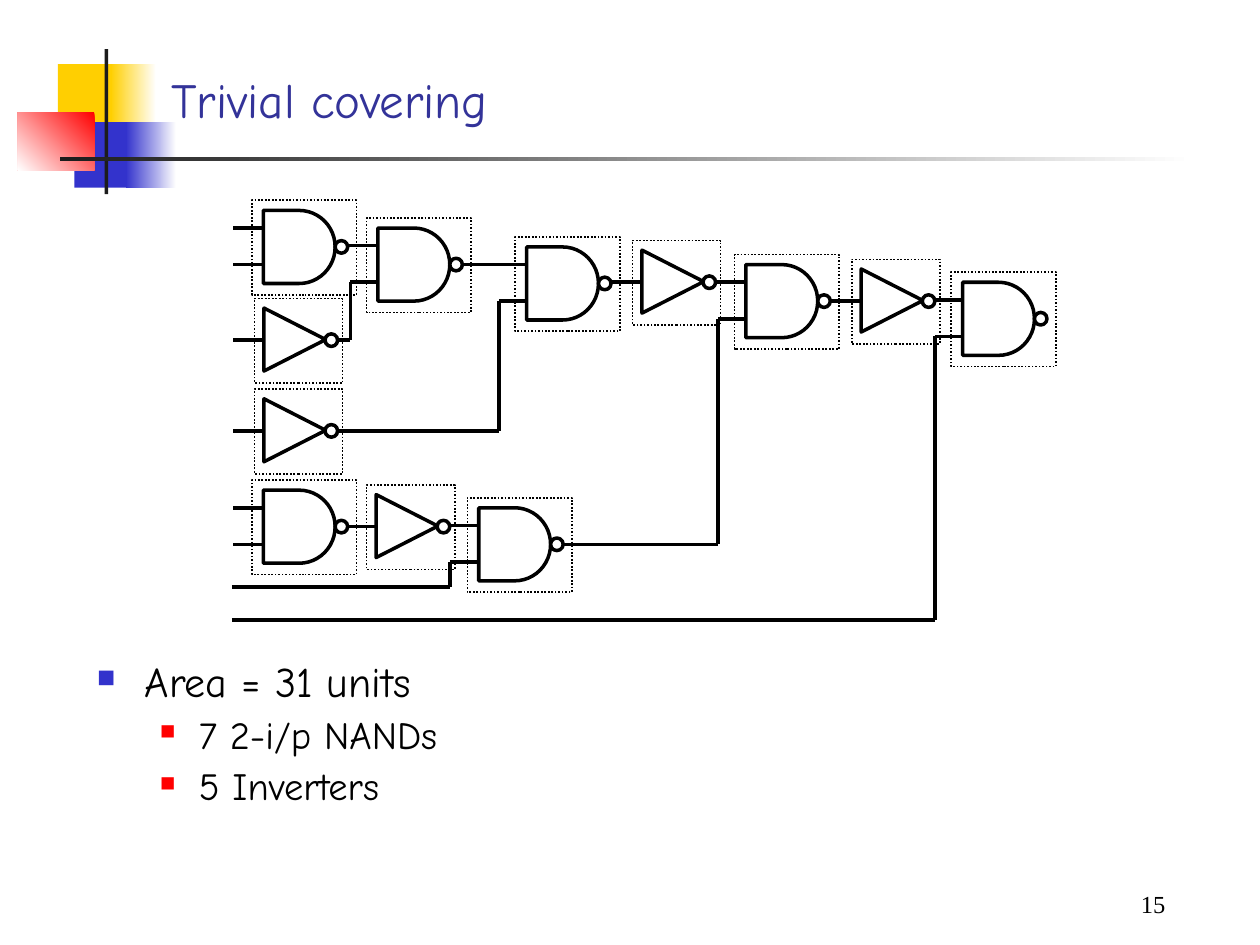
"""Build the "Trivial covering" slide: a NAND and inverter netlist with its cover."""
from lxml import etree
from pptx import Presentation
from pptx.dml.color import RGBColor
from pptx.enum.dml import MSO_LINE
from pptx.enum.shapes import MSO_CONNECTOR, MSO_SHAPE
from pptx.enum.text import MSO_ANCHOR, PP_ALIGN
from pptx.oxml.ns import qn
from pptx.util import Inches, Pt

RECT = MSO_SHAPE.RECTANGLE
DELAY = MSO_SHAPE.FLOWCHART_DELAY
MERGE = MSO_SHAPE.FLOWCHART_MERGE
BUBBLE = MSO_SHAPE.FLOWCHART_CONNECTOR
STRAIGHT = MSO_CONNECTOR.STRAIGHT
DOTTED = MSO_LINE.ROUND_DOT
TOP, MIDDLE, BOTTOM = MSO_ANCHOR.TOP, MSO_ANCHOR.MIDDLE, MSO_ANCHOR.BOTTOM
LEFT, RIGHT = PP_ALIGN.LEFT, PP_ALIGN.RIGHT

BLACK, WHITE = "000000", "FFFFFF"
YELLOW, BLUE, RED, DARK = "FFCF01", "3333CC", "FF0000", "1C1C1C"
BODY_FONT, NUMBER_FONT = "Comic Neue", "Times New Roman"

DECORATION = [
    ((0.46, 0.51, 0.48, 0.52), [YELLOW], 0),
    ((0.88, 0.51, 0.36, 0.52), [WHITE, YELLOW], 180),
    ((0.59, 0.97, 0.46, 0.52), [BLUE], 0),
    ((1, 0.97, 0.4, 0.52), [WHITE, BLUE], 180),
    ((0.14, 0.89, 0.61, 0.46), [RED, WHITE], 225),
    ((0.83, 0.39, 0.03, 1.15), [DARK], 0),
    ((0.48, 1.25, 9, 0.03), [WHITE, DARK], 180),
]

TITLE = "Trivial covering"
POINTS = [
    # text, size, left margin, hanging indent, bullet colour, bullet percent, space before
    ("Area = 31 units", 24, 0.38, 0.38, BLUE, 60, 0),
    ("7 2-i/p NANDs", 22, 0.81, 0.31, RED, 55, 5.5),
    ("5 Inverters", 22, 0.81, 0.31, RED, 55, 5.5),
]
SLIDE_NUMBER = "15"

KINDS = {
    "nand": dict(shape=DELAY, size=(0.57, 0.58), turn=0, bubble=(0.57, 0.24),
                 pins=(0.14, 0.43), out=(0.67, 0.29), cover=(-0.09, -0.08, 0.83, 0.75)),
    "inv": dict(shape=MERGE, size=(0.5, 0.49), turn=270, bubble=(0.49, 0.2),
                pins=(0.25,), out=(0.59, 0.25), cover=(-0.07, -0.08, 0.7, 0.67)),
}
GATES = {
    "N1": ("nand", 2.09, 1.67), "N2": ("nand", 3, 1.81), "N3": ("nand", 4.18, 1.96),
    "N4": ("nand", 5.92, 2.1), "N5": ("nand", 2.09, 3.89), "N6": ("nand", 3.8, 4.03),
    "N7": ("nand", 7.64, 2.24),
    "I1": ("inv", 2.09, 2.45), "I2": ("inv", 2.09, 3.17), "I3": ("inv", 5.09, 1.99),
    "I4": ("inv", 2.98, 3.93), "I5": ("inv", 6.83, 2.14),
}
PRIMARY_INPUTS = [("N1", 0), ("N1", 1), ("I1", 0), ("I2", 0), ("N5", 0), ("N5", 1)]
INPUT_X = 1.85
DIRECT_WIRES = [("N1", "N2"), ("N2", "N3"), ("N3", "I3"), ("I3", "N4"), ("N4", "I5"),
                ("I5", "N7"), ("N5", "I4"), ("I4", "N6")]
BENT_WIRES = [("I1", "N2", 2.78), ("I2", "N3", 3.96), ("N6", "N4", 5.7),
              ((1.84, 4.66), "N6", 3.57), ((1.84, 4.92), "N7", 7.42)]


def rgb(color):
    return RGBColor.from_string(color)


def add_outline(slide, shape, box, fill=None, line=None, width=2):
    outline = slide.shapes.add_shape(shape, *map(Inches, box))
    outline.shadow.inherit = False
    if fill:
        outline.fill.solid()
        outline.fill.fore_color.rgb = rgb(fill)
    else:
        outline.fill.background()
    if line:
        outline.line.color.rgb = rgb(line)
        outline.line.width = Pt(width)
    else:
        outline.line.fill.background()
    return outline


def add_decoration(slide, box, colors, angle):
    block = add_outline(slide, RECT, box, colors[0])
    if len(colors) > 1:
        block.fill.gradient()
        block.fill.gradient_angle = angle
        for stop, color in zip(block.fill.gradient_stops, colors):
            stop.color.rgb = rgb(color)


def add_gate(slide, kind, x, y):
    part = KINDS[kind]
    body = add_outline(slide, part["shape"], (x, y, *part["size"]), WHITE, BLACK)
    body.rotation = part["turn"]
    dx, dy = part["bubble"]
    add_outline(slide, BUBBLE, (x + dx, y + dy, 0.1, 0.1), WHITE, BLACK)


def add_cover(slide, kind, x, y):
    dx, dy, width, height = KINDS[kind]["cover"]
    cover = add_outline(slide, RECT, (x + dx, y + dy, width, height), None, BLACK, 1)
    cover.line.dash_style = DOTTED


def pin_of(gate, index):
    kind, x, y = GATES[gate]
    return x + 0.01, y + KINDS[kind]["pins"][index]


def output_of(source):
    if source not in GATES:
        return source
    kind, x, y = GATES[source]
    dx, dy = KINDS[kind]["out"]
    return x + dx, y + dy


def add_wire(slide, *corners):
    for start, end in zip(corners, corners[1:]):
        wire = slide.shapes.add_connector(STRAIGHT, *map(Inches, (*start, *end)))
        wire.line.color.rgb = rgb(BLACK)
        wire.line.width = Pt(2)
        etree.SubElement(wire._element.spPr, qn("a:effectLst"))


def add_frame(slide, box, anchor, insets=(0.1, 0.05)):
    frame = slide.shapes.add_textbox(*map(Inches, box)).text_frame
    frame.word_wrap = True
    frame.vertical_anchor = anchor
    frame.margin_left = frame.margin_right = Inches(insets[0])
    frame.margin_top = frame.margin_bottom = Inches(insets[1])
    return frame


def write(paragraph, text, size, font, color, align=LEFT):
    paragraph.alignment = align
    run = paragraph.add_run()
    run.text = text
    run.font.size = Pt(size)
    run.font.name = font
    run.font.color.rgb = rgb(color)


def add_bullet(paragraph, margin, hanging, color, percent):
    properties = paragraph._p.get_or_add_pPr()
    properties.set("marL", str(Inches(margin)))
    properties.set("indent", str(-Inches(hanging)))
    tint = etree.SubElement(properties, qn("a:buClr"))
    etree.SubElement(tint, qn("a:srgbClr"), val=color)
    etree.SubElement(properties, qn("a:buSzPct"), val=str(percent * 1000))
    etree.SubElement(properties, qn("a:buChar"), char="■")


def main():
    deck = Presentation()
    deck.slide_width, deck.slide_height = Inches(10), Inches(7.5)
    slide = deck.slides.add_slide(deck.slide_layouts[6])

    for box, colors, angle in DECORATION:
        add_decoration(slide, box, colors, angle)
    title = add_frame(slide, (1.26, 0.22, 8.52, 0.85), BOTTOM)
    write(title.paragraphs[0], TITLE, 28, BODY_FONT, "333399")

    points = add_frame(slide, (0.67, 5.2, 8.5, 1.6), TOP)
    for i, (text, size, margin, hanging, color, percent, before) in enumerate(POINTS):
        point = points.add_paragraph() if i else points.paragraphs[0]
        point.line_spacing = 0.9
        point.space_before = Pt(before)
        add_bullet(point, margin, hanging, color, percent)
        write(point, text, size, BODY_FONT, BLACK)

    for gate in GATES.values():
        add_gate(slide, *gate)
    for gate, index in PRIMARY_INPUTS:
        pin = pin_of(gate, index)
        add_wire(slide, (INPUT_X, pin[1]), pin)
    for source, target in DIRECT_WIRES:
        pin = pin_of(target, 0)
        add_wire(slide, (output_of(source)[0], pin[1]), pin)
    for source, target, bend in BENT_WIRES:
        start, pin = output_of(source), pin_of(target, 1)
        add_wire(slide, start, (bend, start[1]), (bend, pin[1]), pin)
    for gate in GATES.values():
        add_cover(slide, *gate)

    number = add_frame(slide, (8.42, 6.92, 0.83, 0.5), MIDDLE, (0, 0))
    write(number.paragraphs[0], SLIDE_NUMBER, 14, NUMBER_FONT, BLACK, RIGHT)
    deck.save("out.pptx")


if __name__ == "__main__":
    main()
